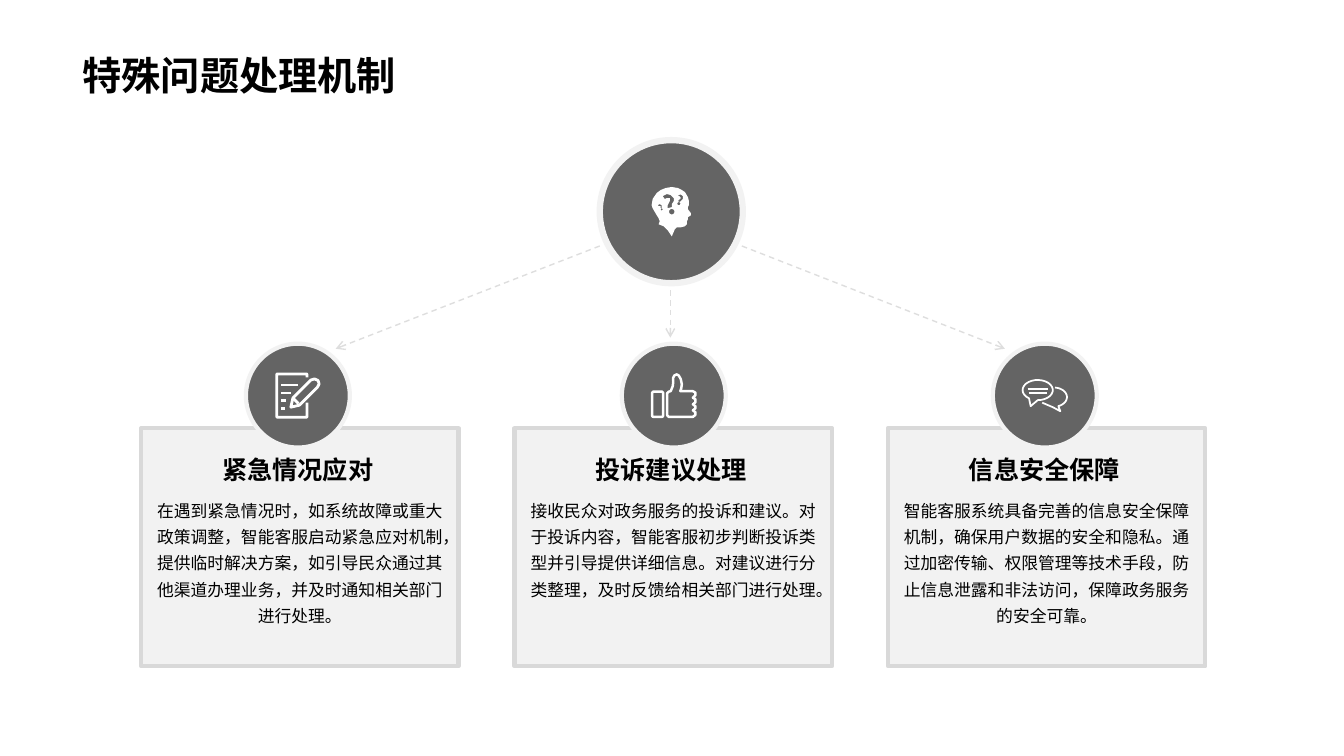
from math import cos, radians, sin

from lxml import etree
from pptx import Presentation
from pptx.dml.color import RGBColor
from pptx.enum.dml import MSO_LINE
from pptx.enum.shapes import MSO_CONNECTOR, MSO_SHAPE
from pptx.enum.text import MSO_ANCHOR, PP_ALIGN
from pptx.oxml.ns import qn
from pptx.util import Pt

DASH = MSO_LINE.DASH
STRAIGHT = MSO_CONNECTOR.STRAIGHT
OVAL, RECTANGLE = MSO_SHAPE.OVAL, MSO_SHAPE.RECTANGLE
BOTTOM = MSO_ANCHOR.BOTTOM
LEFT, CENTER = PP_ALIGN.LEFT, PP_ALIGN.CENTER

FONT = "Noto Sans CJK JP"
BLACK, WHITE, DARK, PALE, BORDER, ARROW = (
    "000000", "FFFFFF", "646464", "F2F2F2", "D9D9D9", "DEDEDE")

CARD_LEFT, CARD_TOP, CARD_WIDTH, CARD_HEIGHT = 100.8, 306, 226.8, 169.9
CARD_PITCH = 266.7
HUB_X, HUB_Y, HUB_SIZE = 479.5, 151.2, 102.2
BADGE_Y, BADGE_SIZE = 282.6, 74.2
ICON_UNIT = 0.72


def arc(x, y, radius_x, radius_y, start=0, end=360):
    steps = 24
    angles = [radians(start + (end - start) * step / steps) for step in range(steps + 1)]
    return [(x + radius_x * cos(angle), y + radius_y * sin(angle)) for angle in angles]


def closed(*points):
    return [*points, points[0]]


# Each icon is a list of outlines on a grid of ICON_UNIT points.
HEAD_ICON = [
    closed((20, 0), (26, 1), (30, 3), (33, 5), (36, 10), (37, 14), (37, 18), (36, 20),
           (36, 22), (39, 26), (39, 28), (36, 30), (36, 32), (35, 34), (35, 37), (33, 39),
           (29, 40), (25, 40), (23, 42), (20, 49), (16, 43), (12, 39), (7, 37), (8, 34),
           (7, 31), (5, 28), (1, 21), (0, 18), (1, 12), (5, 6), (9, 3), (14, 1)),
    closed((11, 9), (15, 7), (19, 8), (22, 11), (22, 14), (20, 17), (20, 20), (16, 21),
           (16, 18), (18, 14), (18, 11), (15, 11), (13, 12)),
    arc(20, 24.5, 2.7, 2.7),
    closed((26, 8), (29, 7.5), (31, 9), (31, 12), (28, 15), (26, 14), (29, 11), (28, 9.5)),
    arc(27, 16.5, 1.5, 1.5),
    closed((6, 18), (8, 17), (10, 18), (10, 21), (9, 21), (9, 19), (7, 19)),
    arc(10, 22.2, 1, 1),
]
NOTE_ICON = [
    [(31.5, 5), (31.5, 2), (31, 1.5), (2, 1.5), (1.5, 2), (1.5, 44), (2, 44.5),
     (31, 44.5), (31.5, 44), (31.5, 30)],
    *[[(6, y), (end, y)] for y, end in [(12.5, 23), (20.5, 16), (27.5, 11), (35.5, 10)]],
    closed((15.5, 34.5), (17.5, 25.5), (35.5, 7.5), (39, 6.5), (42.5, 8), (43.5, 11.5),
           (42, 14.5), (24, 32.5)),
    [(18, 26), (23, 31)],
]
THUMB_ICON = [
    closed((2.5, 18.5), (11.5, 18.5), (12.5, 19.5), (12.5, 42.5), (11.5, 43.5),
           (2.5, 43.5), (1.5, 42.5), (1.5, 19.5)),
    closed((16.5, 20), (18, 18.5), (20, 18), (22, 13), (22.5, 9), (22.3, 5), (23.5, 2.5),
           (26, 1.3), (28, 2.5), (30, 6), (31, 11), (30.5, 15), (29.5, 18), (42, 18),
           (44.5, 19.5), (44.5, 22), (42, 24.5), (44.5, 26), (44.5, 29), (42, 31),
           (44.5, 33), (44.5, 35), (42, 37), (44.5, 39), (44.5, 41.5), (42, 43.5),
           (18, 43.5), (16.5, 42)),
]
CHAT_ICON = [
    closed(*arc(16, 11, 15, 10, 125, 450), (9, 27)),
    [*arc(32, 18, 13, 9.5, -85, 70), (38.5, 32), (31, 28), (20.5, 23.5)],
    [(6, 10), (26, 10)],
    [(7, 14), (25, 14)],
]

CARDS = [
    ("紧急情况应对",
     "在遇到紧急情况时，如系统故障或重大政策调整，智能客服启动紧急应对机制，"
     "提供临时解决方案，如引导民众通过其他渠道办理业务，并及时通知相关部门进行处理。",
     212.8, NOTE_ICON, 2),
    ("投诉建议处理",
     "接收民众对政务服务的投诉和建议。对于投诉内容，智能客服初步判断投诉类型并引导提供详细信息。"
     "对建议进行分类整理，及时反馈给相关部门进行处理。",
     481.3, THUMB_ICON, 1.75),
    ("信息安全保障",
     "智能客服系统具备完善的信息安全保障机制，确保用户数据的安全和隐私。"
     "通过加密传输、权限管理等技术手段，防止信息泄露和非法访问，保障政务服务的安全可靠。",
     746.3, CHAT_ICON, 1.25),
]
ARROWS = [((428.4, 175.7), (239.8, 249.1)),
          ((529.9, 175.7), (717.8, 249.1)),
          ((478.8, 207.4), (478.8, 241.2))]


def color(hex_string):
    return RGBColor.from_string(hex_string)


def write(shape, text, size, bold=False, alignment=CENTER, spacing=1.0):
    shape.text_frame.word_wrap = True
    shape.text_frame.text = text
    paragraph = shape.text_frame.paragraphs[0]
    paragraph.alignment = alignment
    paragraph.line_spacing = spacing
    font = paragraph.runs[0].font
    font.size, font.bold, font.name = Pt(size), bold, FONT
    font.color.rgb = color(BLACK)
    latin = paragraph.runs[0]._r.rPr.find(qn("a:latin"))
    east_asian = etree.Element(qn("a:ea"), typeface=FONT)
    latin.addnext(east_asian)


def add_text(slide, left, top, width, height, text, size, **style):
    box = slide.shapes.add_textbox(Pt(left), Pt(top), Pt(width), Pt(height))
    write(box, text, size, **style)


def add_panel(slide, kind, left, top, width, height, fill, line, line_width):
    panel = slide.shapes.add_shape(kind, Pt(left), Pt(top), Pt(width), Pt(height))
    panel.shadow.inherit = False
    panel.fill.solid()
    panel.fill.fore_color.rgb = color(fill)
    panel.line.color.rgb = color(line)
    panel.line.width = Pt(line_width)


def add_disc(slide, x, y, size, line_width):
    add_panel(slide, OVAL, x - size / 2, y - size / 2, size, size, DARK, PALE, line_width)


def add_icon(slide, x, y, outlines, stroke=None):
    """Centre an icon on x, y: drawn in lines if a stroke is given, else filled."""
    columns, rows = zip(*[point for outline in outlines for point in outline])
    middle_x = (min(columns) + max(columns)) / 2
    middle_y = (min(rows) + max(rows)) / 2
    placed = [[(Pt(x + (column - middle_x) * ICON_UNIT), Pt(y + (row - middle_y) * ICON_UNIT))
               for column, row in outline] for outline in outlines]
    builder = slide.shapes.build_freeform(*placed[0][0])
    builder.add_line_segments(placed[0][1:], close=False)
    for outline in placed[1:]:
        builder.move_to(*outline[0])
        builder.add_line_segments(outline[1:], close=False)
    icon = builder.convert_to_shape()
    icon.shadow.inherit = False
    if stroke:
        icon.fill.background()
        icon.line.color.rgb = color(WHITE)
        icon.line.width = Pt(stroke)
    else:
        icon.fill.solid()
        icon.fill.fore_color.rgb = color(WHITE)
        icon.line.fill.background()


def add_arrow(slide, start, end):
    arrow = slide.shapes.add_connector(STRAIGHT, *[Pt(length) for length in (*start, *end)])
    arrow.line.color.rgb = color(ARROW)
    arrow.line.width = Pt(1)
    arrow.line.dash_style = DASH
    properties = arrow._element.spPr
    etree.SubElement(properties.find(qn("a:ln")), qn("a:tailEnd"), type="arrow")
    etree.SubElement(properties, qn("a:effectLst"))


def add_card(slide, left, heading, body, badge_x, icon, stroke):
    add_panel(slide, RECTANGLE, left, CARD_TOP, CARD_WIDTH, CARD_HEIGHT, PALE, BORDER, 3)
    add_text(slide, left - 1.5, 321.1, CARD_WIDTH, 36, heading, 18, bold=True)
    add_text(slide, left, 349.9, CARD_WIDTH, 126.7, body, 12, spacing=1.3)
    add_disc(slide, badge_x, BADGE_Y, BADGE_SIZE, 3)
    add_icon(slide, badge_x, BADGE_Y, icon, stroke)


def set_title(slide, text):
    title = slide.shapes.title
    title.left, title.top, title.width, title.height = Pt(51.8), Pt(33.1), Pt(840.2), Pt(41)
    write(title, text, 28, bold=True, alignment=LEFT)
    title.text_frame.vertical_anchor = BOTTOM


def main():
    presentation = Presentation()
    presentation.slide_width, presentation.slide_height = Pt(960), Pt(540)
    slide = presentation.slides.add_slide(presentation.slide_layouts[5])
    set_title(slide, "特殊问题处理机制")
    for start, end in ARROWS:
        add_arrow(slide, start, end)
    add_disc(slide, HUB_X, HUB_Y, HUB_SIZE, 4.5)
    add_icon(slide, HUB_X, HUB_Y, HEAD_ICON)
    for index, card in enumerate(CARDS):
        add_card(slide, CARD_LEFT + index * CARD_PITCH, *card)
    presentation.save("out.pptx")


if __name__ == "__main__":
    main()
